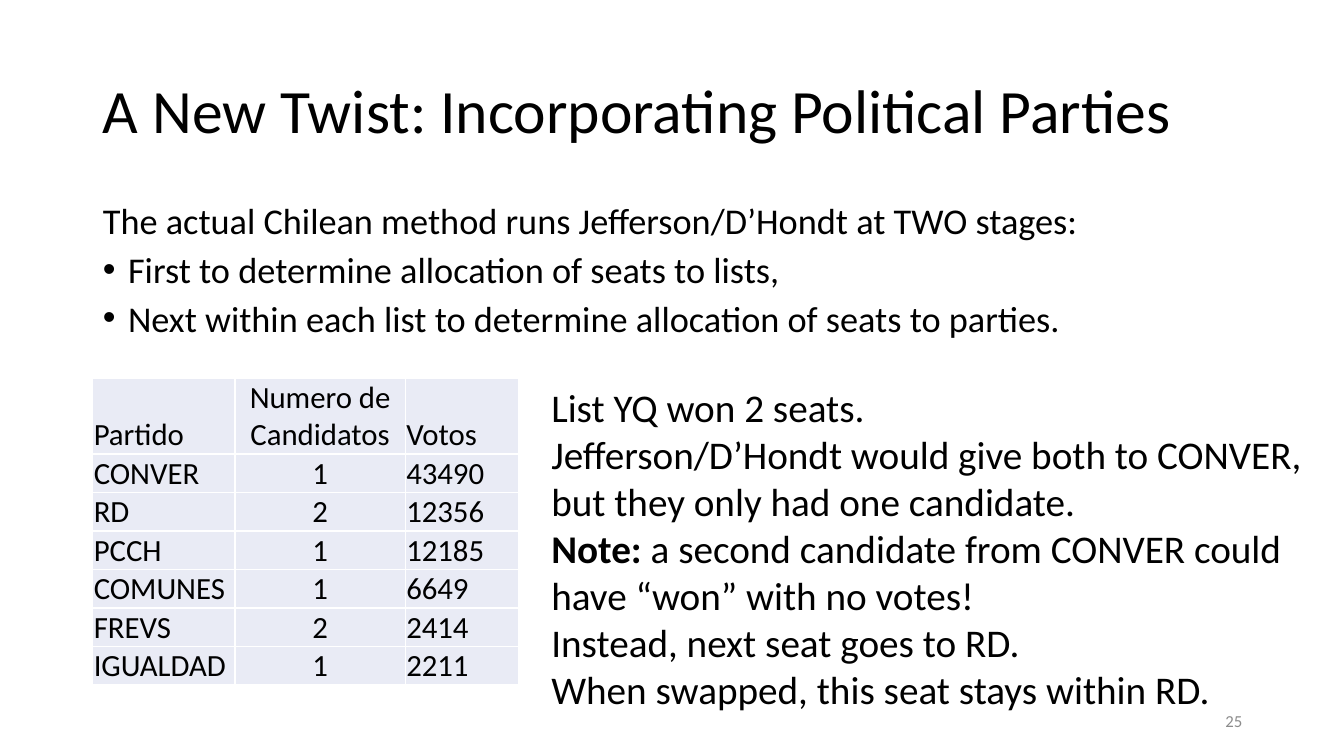
"""Builds the slide on incorporating political parties into seat allocation."""
from lxml import etree
from pptx import Presentation
from pptx.dml.color import RGBColor
from pptx.enum.text import MSO_ANCHOR, MSO_AUTO_SIZE, PP_ALIGN
from pptx.oxml.ns import qn
from pptx.util import Inches, Pt

LEFT, CENTER, RIGHT = PP_ALIGN.LEFT, PP_ALIGN.CENTER, PP_ALIGN.RIGHT
TOP, MIDDLE, BOTTOM = MSO_ANCHOR.TOP, MSO_ANCHOR.MIDDLE, MSO_ANCHOR.BOTTOM
NO_FIT, GROW = MSO_AUTO_SIZE.NONE, MSO_AUTO_SIZE.SHAPE_TO_FIT_TEXT

COLORS = {"text": "000000", "number": "8C8C8C", "cell": "E9EBF5"}
FONT = "Calibri"

TITLE = "A New Twist: Incorporating Political Parties"
INTRO = "The actual Chilean method runs Jefferson/D’Hondt at TWO stages:"
STAGES = [
    "First to determine allocation of seats to lists,",
    "Next within each list to determine allocation of seats to parties.",
]
PARTY_VOTES = [
    ("Partido", "Numero de Candidatos", "Votos"),
    ("CONVER", "1", "43490"),
    ("RD", "2", "12356"),
    ("PCCH", "1", "12185"),
    ("COMUNES", "1", "6649"),
    ("FREVS", "2", "2414"),
    ("IGUALDAD", "1", "2211"),
]
OUTCOME = [
    [("List YQ won 2 seats.", False)],
    [("Jefferson/D’Hondt would give both to CONVER,", False)],
    [("but they only had one candidate.", False)],
    [("Note: ", True),
     ("a second candidate from CONVER could have “won” with no votes!", False)],
    [("Instead, next seat goes to RD.", False)],
    [("When swapped, this seat stays within RD.", False)],
]


def assign(target, values):
    """Set each named attribute of the target."""
    for name, value in values.items():
        setattr(target, name, value)


class SlideBuilder:
    """Holds the text style and the current slide."""

    def __init__(self, slide):
        self.slide = slide

    def place(self, shape, area):
        """Move a shape to left, top, width and height in inches."""
        names = ("left", "top", "width", "height")
        assign(shape, dict(zip(names, map(Inches, area))))

    def fill_para(self, para, spans, size, color="text", **layout):
        """Fill a paragraph with (text, bold) spans."""
        assign(para, layout)
        for text, bold in spans:
            span = para.add_run()
            span.text = text
            assign(span.font, {"name": FONT, "size": Pt(size), "bold": bold})
            span.font.color.rgb = RGBColor.from_string(COLORS[color])

    def mark(self, para, bulleted):
        """Give a paragraph a hanging bullet, or none."""
        properties = para._p.get_or_add_pPr()
        indent = Inches(0.25) if bulleted else 0
        properties.set("marL", str(indent))
        properties.set("indent", str(-indent))
        if bulleted:
            etree.SubElement(properties, qn("a:buFont"), typeface="Arial")
            etree.SubElement(properties, qn("a:buChar"), char="•")
        else:
            etree.SubElement(properties, qn("a:buNone"))

    def title(self, text, area):
        """Fill the title placeholder."""
        box = self.slide.shapes.title
        self.place(box, area)
        frame = box.text_frame
        assign(frame, {"vertical_anchor": MIDDLE, "auto_size": NO_FIT})
        self.fill_para(frame.paragraphs[0], [(text, False)], 44,
                       alignment=LEFT, line_spacing=0.9)

    def body(self, intro, bullets, area):
        """Fill the body placeholder with an introduction and its bullets."""
        box = self.slide.placeholders[1]
        self.place(box, area)
        frame = box.text_frame
        assign(frame, {"vertical_anchor": TOP, "auto_size": NO_FIT})
        for index, text in enumerate([intro, *bullets]):
            para = frame.add_paragraph() if index else frame.paragraphs[0]
            self.mark(para, index > 0)
            self.fill_para(para, [(text, False)], 25.9, line_spacing=0.8,
                           space_before=Pt(10 if index else 0))

    def text(self, lines, area, size, color="text", align=LEFT,
             anchor=TOP, fit=NO_FIT):
        """Add a text box with one paragraph for each line."""
        box = self.slide.shapes.add_textbox(*map(Inches, area))
        frame = box.text_frame
        assign(frame, {"word_wrap": True, "auto_size": fit,
                       "vertical_anchor": anchor})
        for index, spans in enumerate(lines):
            para = frame.add_paragraph() if index else frame.paragraphs[0]
            self.fill_para(para, spans, size, color, alignment=align)

    def table(self, rows, area, widths, heights):
        """Add a plain table whose middle column is centred."""
        table = self.slide.shapes.add_table(
            len(rows), len(widths), *map(Inches, area)).table
        assign(table, {"first_row": False, "horz_banding": False})
        for column, width in zip(table.columns, widths):
            column.width = Inches(width)
        for row, height, values in zip(table.rows, heights, rows):
            row.height = Inches(height)
            for cell, value, align in zip(row.cells, values,
                                          (LEFT, CENTER, LEFT)):
                edge = Inches(0.01)
                assign(cell, {"margin_left": edge, "margin_right": edge,
                              "margin_top": edge, "margin_bottom": 0,
                              "vertical_anchor": BOTTOM})
                cell.fill.solid()
                cell.fill.fore_color.rgb = RGBColor.from_string(COLORS["cell"])
                self.fill_para(cell.text_frame.paragraphs[0],
                               [(value, False)], 22, alignment=align)


def main():
    """Build and save the deck."""
    deck = Presentation()
    assign(deck, {"slide_width": Inches(13.33), "slide_height": Inches(7.5)})
    page = SlideBuilder(deck.slides.add_slide(deck.slide_layouts[1]))
    page.title(TITLE, (0.92, 0.4, 11.5, 1.45))
    page.body(INTRO, STAGES, (0.92, 2, 11.5, 1.45))
    page.text([[("25", False)]], (9.42, 6.95, 3, 0.4), 12,
              color="number", align=RIGHT, anchor=MIDDLE)
    page.table(PARTY_VOTES, (0.92, 3.75, 4.22, 3.01), (1.41, 1.69, 1.12),
               [0.75] + [0.38] * (len(PARTY_VOTES) - 1))
    page.text(OUTCOME, (5.37, 3.75, 7.74, 3.4), 28, fit=GROW)
    deck.save("out.pptx")


if __name__ == "__main__":
    main()
